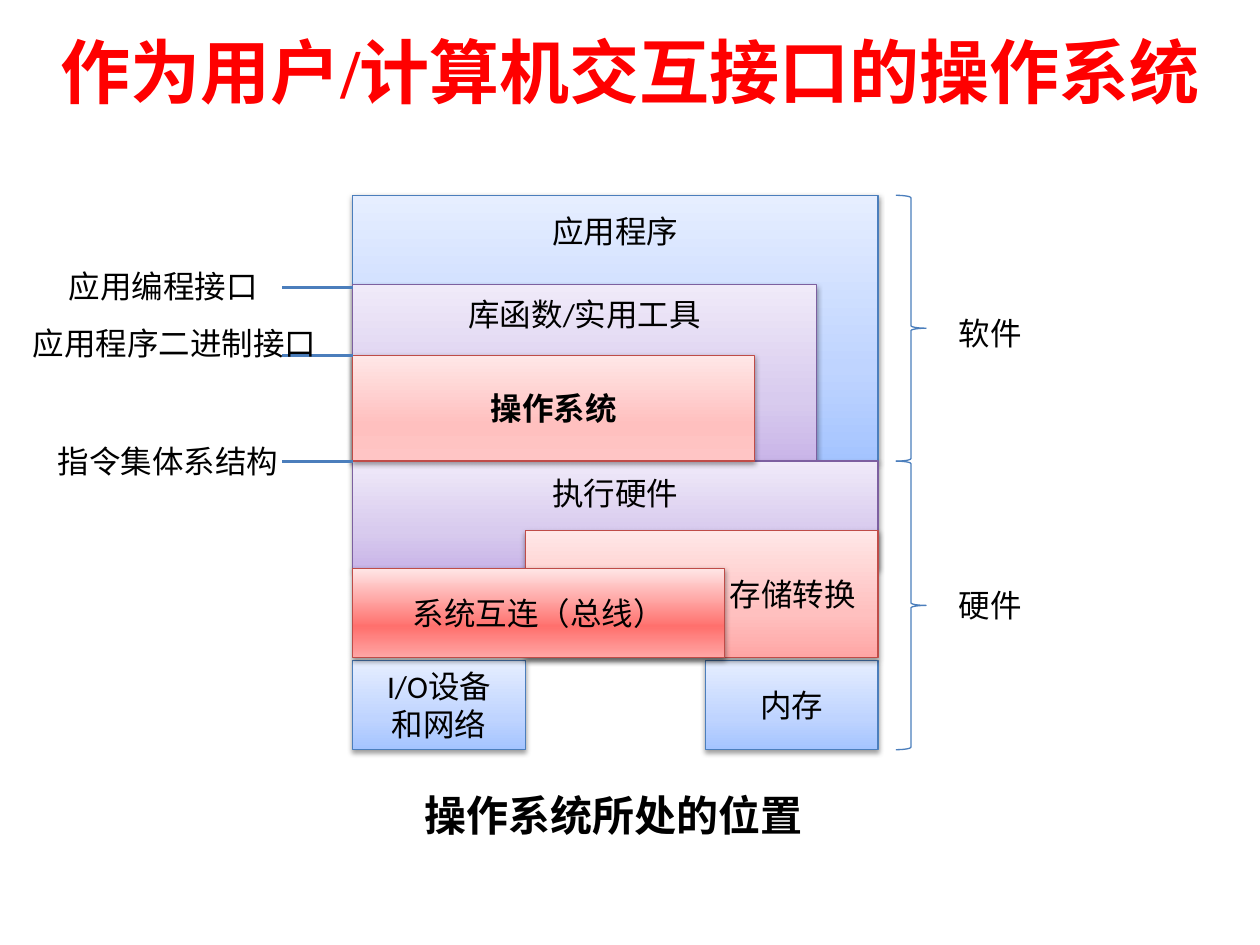
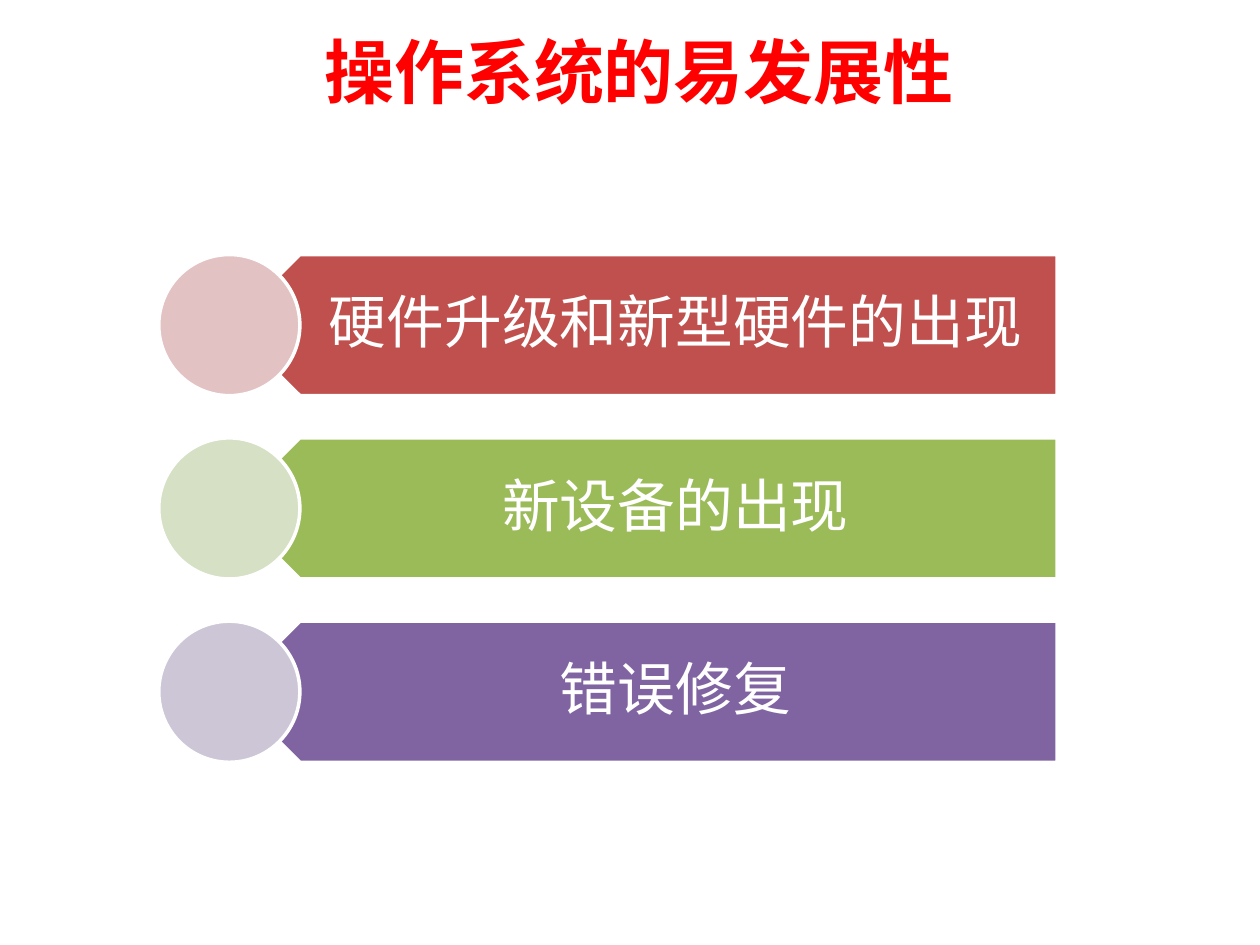
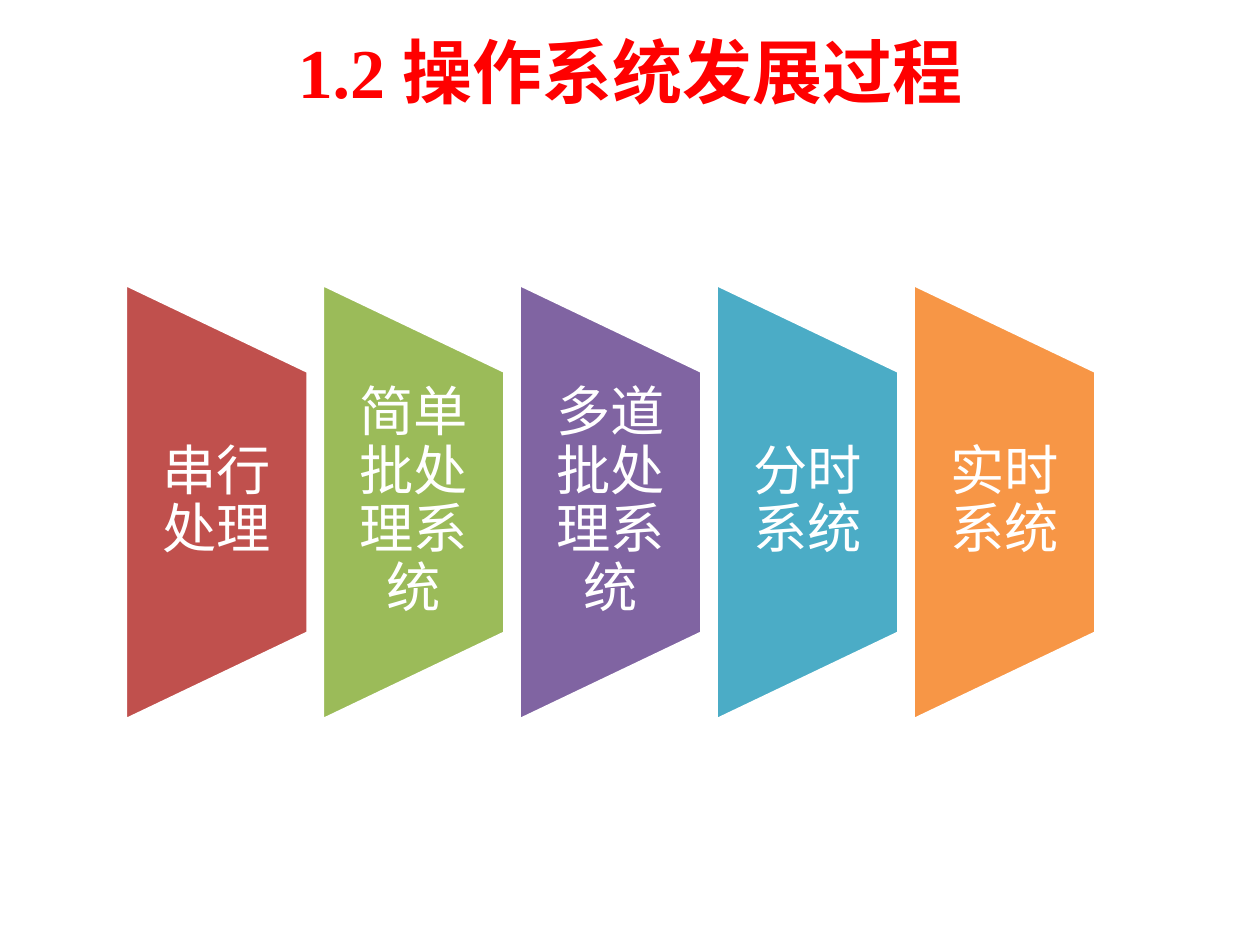
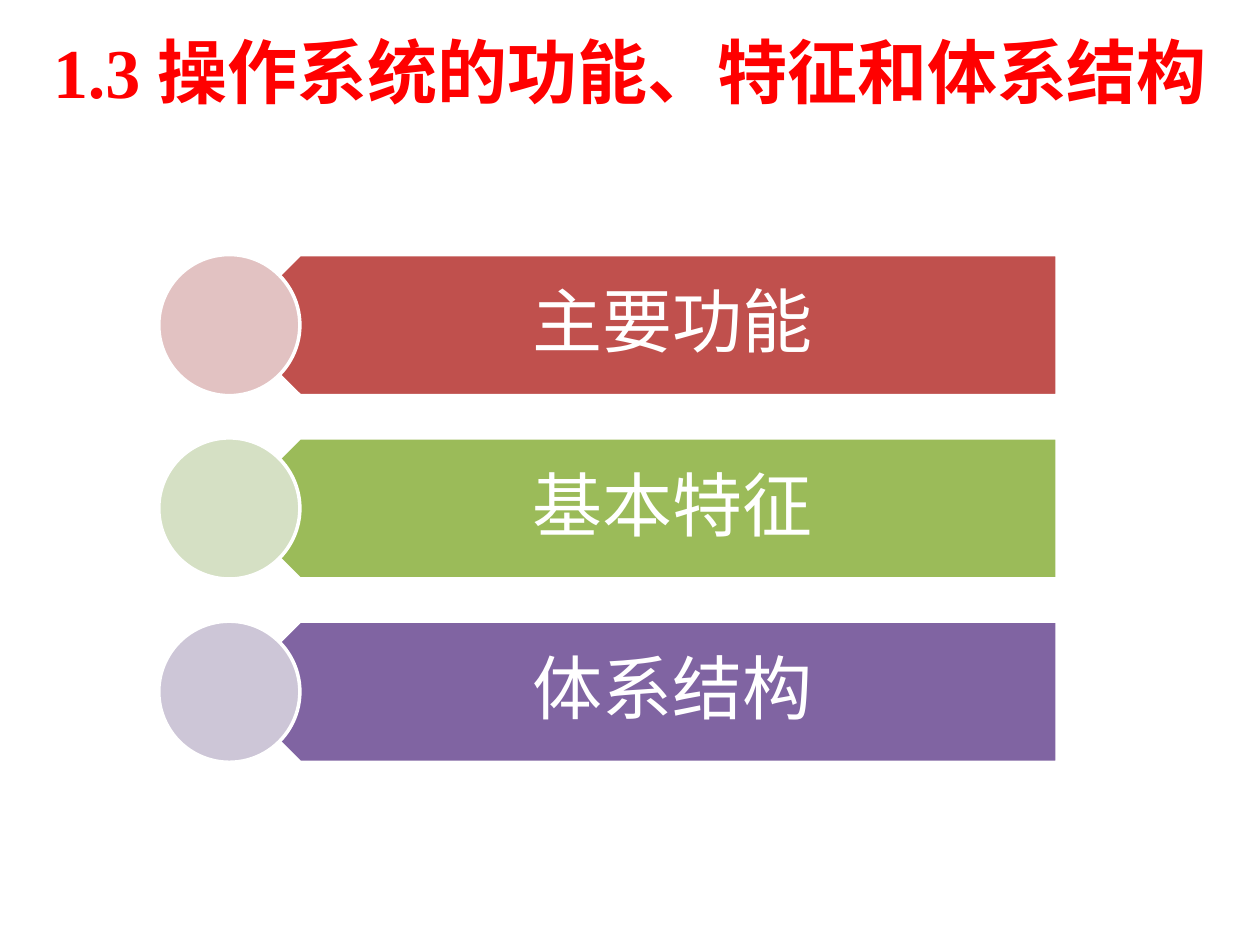
from copy import deepcopy

from lxml import etree
from pptx import Presentation
from pptx.dml.color import RGBColor
from pptx.enum.shapes import MSO_CONNECTOR, MSO_SHAPE
from pptx.enum.text import MSO_ANCHOR, PP_ALIGN
from pptx.oxml.ns import qn
from pptx.util import Inches, Pt

LEFT, CENTER = PP_ALIGN.LEFT, PP_ALIGN.CENTER
TOP, MIDDLE = MSO_ANCHOR.TOP, MSO_ANCHOR.MIDDLE
RECTANGLE, OVAL, BRACE = MSO_SHAPE.RECTANGLE, MSO_SHAPE.OVAL, MSO_SHAPE.RIGHT_BRACE
PENTAGON = MSO_SHAPE.PENTAGON
TRAPEZOID = MSO_SHAPE.FLOWCHART_MANUAL_OPERATION
STRAIGHT = MSO_CONNECTOR.STRAIGHT

# The slide is a grid of 100 columns by 75 rows of square cells
COLUMNS, ROWS, CELL = 100, 75, 0.1

COLORS = {
    "title": "FF0000", "ink": "000000", "white": "FFFFFF", "line": "4B7EBC",
    "red": "C0504D", "green": "9BBB59", "purple": "8064A2",
    "teal": "4BACC6", "orange": "F79646",
    "pale red": "E2C2C2", "pale green": "D5E0C4", "pale purple": "CDC6D7",
}
# Layer looks: gradient from bottom to top, then the outline
LAYERS = {
    "blue": ("A4C4FF", "BFD4FF", "E6EEFF", "4B7EBC"),
    "violet": ("C9B5E8", "D8CBEE", "F0EAF9", "7D60A0"),
    "rose": ("FFC5C5", "FFC0BF", "FFE7E7", "BF4C48"),
    "coral": ("FFA6A5", "FFC0BF", "FFE7E7", "BF4C48"),
    "signal": ("FFA6A5", "FF706D", "FFE7E7", "BF4C48"),
}
GRADIENT_STOPS = (0, 0.35, 1)
BODY, LABEL, HEADING, CHINESE = "Calibri", "Arial", "Times New Roman", "Noto Sans CJK SC"
INSETS = (1, 0.5, 1, 0.5)


def cells(count):
    return Inches(count * CELL)


def rgb(value):
    return RGBColor.from_string(value)


class Deck:
    """Holds the shared style and the slide being built."""

    def __init__(self):
        self.deck = Presentation()
        self.deck.slide_width, self.deck.slide_height = cells(COLUMNS), cells(ROWS)
        self.slide = None

    def page(self, title, left=0, width=COLUMNS, insets=INSETS):
        self.slide = self.deck.slides.add_slide(self.deck.slide_layouts[6])
        self.text(title, (left, 0.5, width, 10.2), 40, HEADING, "title",
                  bold=True, insets=insets)

    def fill_text(self, shape, text, size, font, color="ink", bold=False, align=CENTER,
                  anchor=MIDDLE, insets=INSETS, wrap=True, spacing=1.0):
        frame = shape.text_frame
        frame.text = text
        frame.word_wrap, frame.vertical_anchor = wrap, anchor
        (frame.margin_left, frame.margin_top,
         frame.margin_right, frame.margin_bottom) = map(cells, insets)
        for para in frame.paragraphs:
            para.alignment, para.line_spacing = align, spacing
            for span in para.runs:
                span.font.size, span.font.bold = Pt(size), bold
                span.font.color.rgb = rgb(COLORS[color])
                span.font.name = font
                etree.SubElement(span.font._element, qn("a:ea"), typeface=CHINESE)

    def text(self, text, place, size, font, color="ink", **style):
        box = self.slide.shapes.add_textbox(*map(cells, place))
        self.fill_text(box, text, size, font, color, **style)

    def label(self, text, place, align=CENTER):
        self.text(text, place, 18, LABEL, align=align, wrap=False)

    def shape(self, kind, place, fill=None, line="white", weight=2, turn=0):
        shape = self.slide.shapes.add_shape(kind, *map(cells, place))
        shape.shadow.inherit = False
        shape.rotation = turn
        if fill:
            shape.fill.solid()
            shape.fill.fore_color.rgb = rgb(COLORS[fill])
        else:
            shape.fill.background()
        shape.line.color.rgb = rgb(COLORS[line])
        shape.line.width = Pt(weight)
        return shape

    def layer(self, text, place, look, **style):
        """A gradient block with a soft shadow and a caption."""
        block = self.shape(RECTANGLE, place, weight=0.75)
        *gradient, outline = LAYERS[look]
        block.line.color.rgb = rgb(outline)
        block.fill.gradient()
        block.fill.gradient_angle = 90
        properties = block._element.spPr
        stops = properties.find(".//" + qn("a:gsLst"))
        stops.insert(1, deepcopy(stops[0]))
        for stop, position, color in zip(block.fill.gradient_stops, GRADIENT_STOPS, gradient):
            stop.position, stop.color.rgb = position, rgb(color)
        shadow = etree.SubElement(
            properties.find(qn("a:effectLst")), qn("a:outerShdw"),
            blurRad=str(Pt(3.1)), dist=str(Pt(1.6)), dir="5400000", rotWithShape="0")
        tint = etree.SubElement(shadow, qn("a:srgbClr"), val=COLORS["ink"])
        etree.SubElement(tint, qn("a:alpha"), val="38000")
        self.fill_text(block, text, 18, BODY, **style)

    def rule(self, left, right, row):
        rule = self.slide.shapes.add_connector(
            STRAIGHT, *map(cells, (left, row, right, row)))
        rule.line.color.rgb = rgb(COLORS["line"])
        rule.line.width = Pt(1.75)
        etree.SubElement(rule._element.spPr, qn("a:effectLst"))

    def banner_list(self, items, size, insets):
        """Pointed banners, each led by a pale disc."""
        height, pitch = 11.2, 14.55
        for index, (text, color) in enumerate(zip(items, ("red", "green", "purple"))):
            top = 20.2 + index * pitch
            self.shape(PENTAGON, (18.2, top, 65.7, height), color, turn=180)
            self.text(text, (21, top, 62.9, height), size, BODY, "white",
                      insets=insets, spacing=0.9)
            self.shape(OVAL, (12.6, top, height, height), "pale " + color)

    def stage_row(self, stages):
        """Trapezoids lying on their side, at equal steps."""
        width, height, pitch, middle = 14.5, 34.6, 15.63, 39.85
        for index, (text, color) in enumerate(stages):
            left = 9.95 + index * pitch
            turned = (left + (width - height) / 2, middle - width / 2, height, width)
            self.shape(TRAPEZOID, turned, color, turn=270)
            self.text(text, (left, middle - 10.4, width, 20.8), 31, BODY, "white",
                      insets=(2.2, 0, 2.2, 0), spacing=0.9)


def system_layers(deck):
    deck.page("作为用户/计算机交互接口的操作系统")
    deck.text("操作系统所处的位置", (32.7, 62.2, 34.6, 5), 24, CHINESE,
              bold=True, align=LEFT, anchor=TOP)

    # Stack of layers, back to front
    left, full, top, split, bottom = 28, 41.7, 15.5, 36.6, 59.5
    library, system, bus = 22.6, 28.2, 45.1
    device, device_width, device_height = 52.4, 13.7, 7.1
    right = left + full

    deck.layer("应用程序", (left, top, full, split - top), "blue",
               anchor=TOP, insets=(1, 1.3, 1, 0.5))
    deck.layer("库函数/实用工具", (left, library, 36.8, split - library), "violet",
               anchor=TOP, insets=(1, 0.8, 1, 0.5))
    deck.layer("执行硬件", (left, split, full, 8.5), "violet",
               anchor=TOP, insets=(1, 1, 1, 0.5))
    deck.layer("I/O设备\n和网络", (left, device, device_width, device_height), "blue")
    deck.layer("操作系统", (left, system, 31.9, split - system), "rose", bold=True)
    deck.layer("内存", (right - device_width, device, device_width, device_height), "blue")
    deck.layer("存储转换", (left + device_width, 42.1, full - device_width, 10.1), "coral",
               insets=(15.4, 0.5, 1, 0.5))
    deck.layer("系统互连（总线）", (left, bus, 29.5, 7.1), "signal")

    # Braces on the right
    for text, start, end, label_top in (("硬件", split, bottom, 46),
                                        ("软件", top, split, 24.4)):
        deck.shape(BRACE, (71.1, start, 2.4, end - start), line="line", weight=0.75)
        deck.label(text, (75.1, label_top, 7.1, 4), LEFT)

    # Interfaces on the left
    for text, row, place in (("应用程序二进制接口", system, (1.5, 25.2, 24.7, 4)),
                             ("应用编程接口", library + 0.2, (4.3, 20.7, 17.3, 4)),
                             ("指令集体系结构", split, (3.5, 34.6, 19.7, 4))):
        deck.rule(left - 5.6, left, row)
        deck.label(text, place)


def main():
    deck = Deck()
    system_layers(deck)

    # Ease of evolution
    deck.page("操作系统的易发展性", insets=(2.4, 0.5, 1, 0.5))
    deck.banner_list(("硬件升级和新型硬件的出现", "新设备的出现", "错误修复"),
                     33, (4.9, 1.4, 2.6, 1.4))

    # History
    deck.page("1.2 操作系统发展过程", left=5, width=90)
    deck.stage_row((("串行处理", "red"), ("简单批处理系统", "green"),
                    ("多道批处理系统", "purple"), ("分时系统", "teal"),
                    ("实时系统", "orange")))

    # Functions, features and structure
    deck.page("1.3 操作系统的功能、特征和体系结构")
    deck.banner_list(("主要功能", "基本特征", "体系结构"), 40, (4.9, 1.7, 3.1, 1.7))

    deck.deck.save("out.pptx")


if __name__ == "__main__":
    main()
